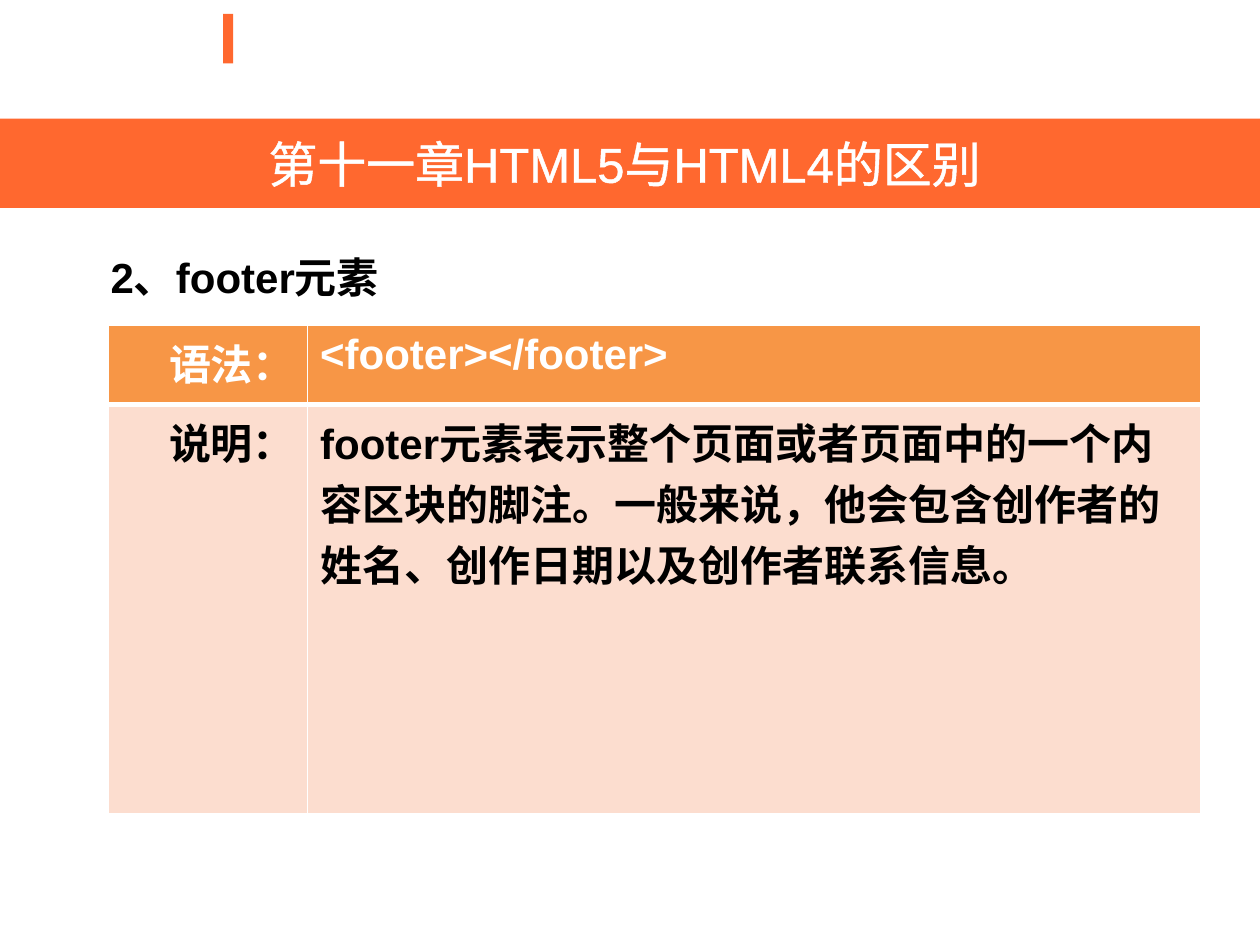
import pptx
import pptx.dml.color
import pptx.enum.shapes
import pptx.enum.text
import pptx.oxml
import pptx.oxml.ns
import pptx.util

Cm = pptx.util.Cm
Pt = pptx.util.Pt
RGBColor = pptx.dml.color.RGBColor
ALIGN = pptx.enum.text.PP_ALIGN

ORANGE = RGBColor(0xFF, 0x68, 0x2F)
AMBER = RGBColor(0xF7, 0x96, 0x46)
PEACH = RGBColor(0xFC, 0xDD, 0xCF)
WHITE = RGBColor(0xFF, 0xFF, 0xFF)
BLACK = RGBColor(0x00, 0x00, 0x00)


class Deck:
    """Hold the text style and the current slide, and draw its elements."""

    font = "Arial"
    body_size = 24
    title_size = 28

    def __init__(self, prs):
        self.s = prs.slides.add_slide(prs.slide_layouts[6])

    def line(self, tag, color, width):
        return pptx.oxml.parse_xml(
            f'<a:{tag} {pptx.oxml.ns.nsdecls("a")} w="{Pt(width)}">'
            f'<a:solidFill><a:srgbClr val="{color}"/></a:solidFill></a:{tag}>'
        )

    def add_text(self, tf, text, color, size=body_size, bold=True, align=ALIGN.LEFT):
        p = tf.paragraphs[0]
        p.alignment = align
        r = p.add_run()
        r.text = text
        r.font.name = self.font
        r.font.size = Pt(size)
        r.font.bold = bold
        r.font.color.rgb = color
        return r

    def block(self, x, y, w, h, color):
        sp = self.s.shapes.add_shape(
            pptx.enum.shapes.MSO_SHAPE.RECTANGLE, Cm(x), Cm(y), Cm(w), Cm(h)
        )
        sp.shadow.inherit = False
        sp.fill.solid()
        sp.fill.fore_color.rgb = color
        sp.line.fill.background()
        return sp

    def banner(self, x, y, w, h, text):
        tf = self.block(x, y, w, h, ORANGE).text_frame
        tf.word_wrap = True
        tf.vertical_anchor = pptx.enum.text.MSO_ANCHOR.MIDDLE
        r = self.add_text(tf, text, WHITE, self.title_size, False, ALIGN.CENTER)
        r._r.get_or_add_rPr().insert(0, self.line("ln", WHITE, 1.45))

    def heading(self, x, y, w, h, text):
        tf = self.s.shapes.add_textbox(Cm(x), Cm(y), Cm(w), Cm(h)).text_frame
        tf.word_wrap = True
        tf.auto_size = pptx.enum.text.MSO_AUTO_SIZE.SHAPE_TO_FIT_TEXT
        self.add_text(tf, text, BLACK)

    def cell(self, cell, text, fill, color, align, bottom):
        tcPr = cell._tc.get_or_add_tcPr()
        for tag, width in (("lnL", 1), ("lnR", 1), ("lnT", 1), ("lnB", bottom)):
            tcPr.append(self.line(tag, WHITE, width))
        cell.fill.solid()
        cell.fill.fore_color.rgb = fill
        self.add_text(cell.text_frame, text, color, align=align)

    def table(self, x, y, widths, heights, rows):
        table = self.s.shapes.add_table(
            len(heights), len(widths), Cm(x), Cm(y), Cm(sum(widths)), Cm(sum(heights))
        ).table
        for column, width in zip(table.columns, widths):
            column.width = Cm(width)
        styles = ((AMBER, WHITE, 3), (PEACH, BLACK, 1))
        for i, (texts, (fill, color, bottom)) in enumerate(zip(rows, styles)):
            table.rows[i].height = Cm(heights[i])
            for j, (text, align) in enumerate(zip(texts, (ALIGN.RIGHT, ALIGN.LEFT))):
                self.cell(table.cell(i, j), text, fill, color, align, bottom)


def main():
    prs = pptx.Presentation()
    prs.slide_width = Cm(25.4)
    prs.slide_height = Cm(19.05)
    deck = Deck(prs)
    deck.block(4.5, 0.28, 0.2, 1, ORANGE)
    deck.banner(0, 2.39, 25.4, 1.8, "第十一章HTML5与HTML4的区别 ")
    deck.table(2.19, 6.56, (4.01, 18.01), (1.6, 8.25), (
        ("语法：", "<footer></footer>"),
        ("说明：", "footer元素表示整个页面或者页面中的一个内容区块的脚注。"
                  "一般来说，他会包含创作者的姓名、创作日期以及创作者联系信息。"),
    ))
    deck.heading(1.98, 4.95, 19.53, 1.27, "2、footer元素")
    prs.save("out.pptx")


if __name__ == "__main__":
    main()
